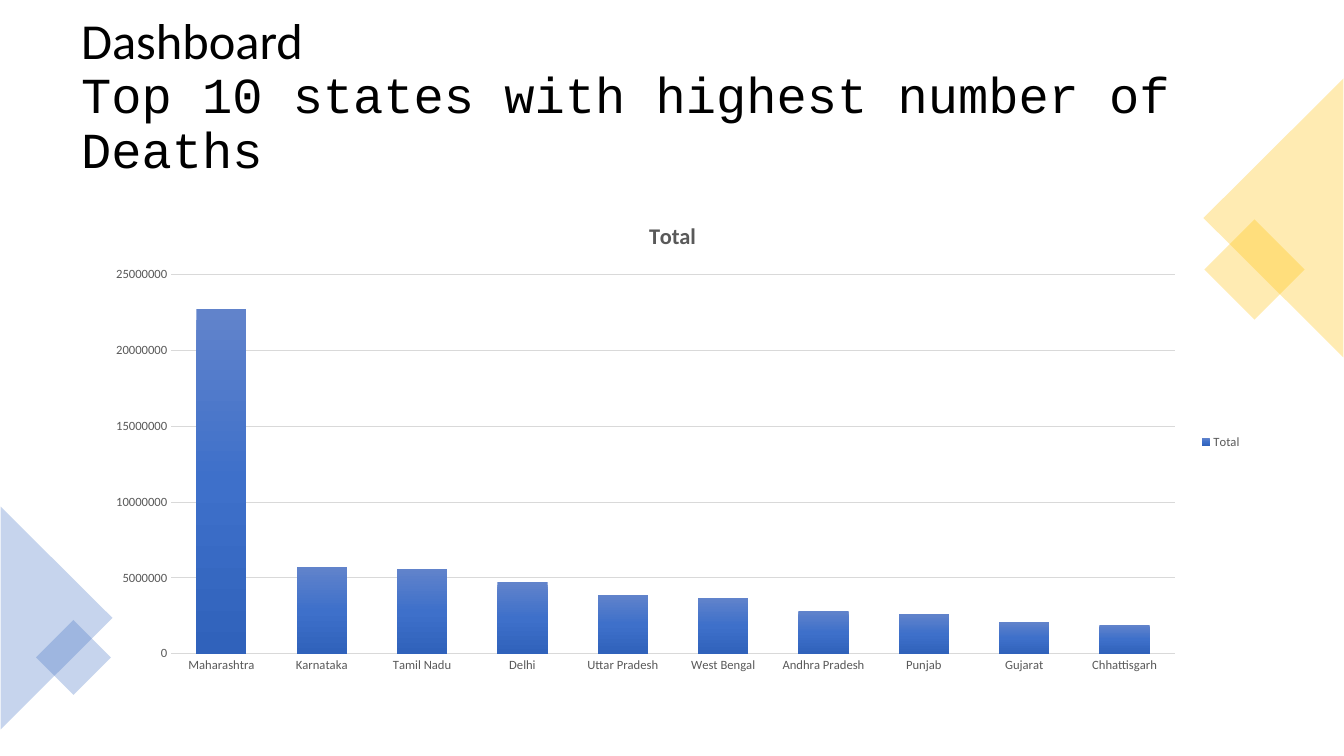
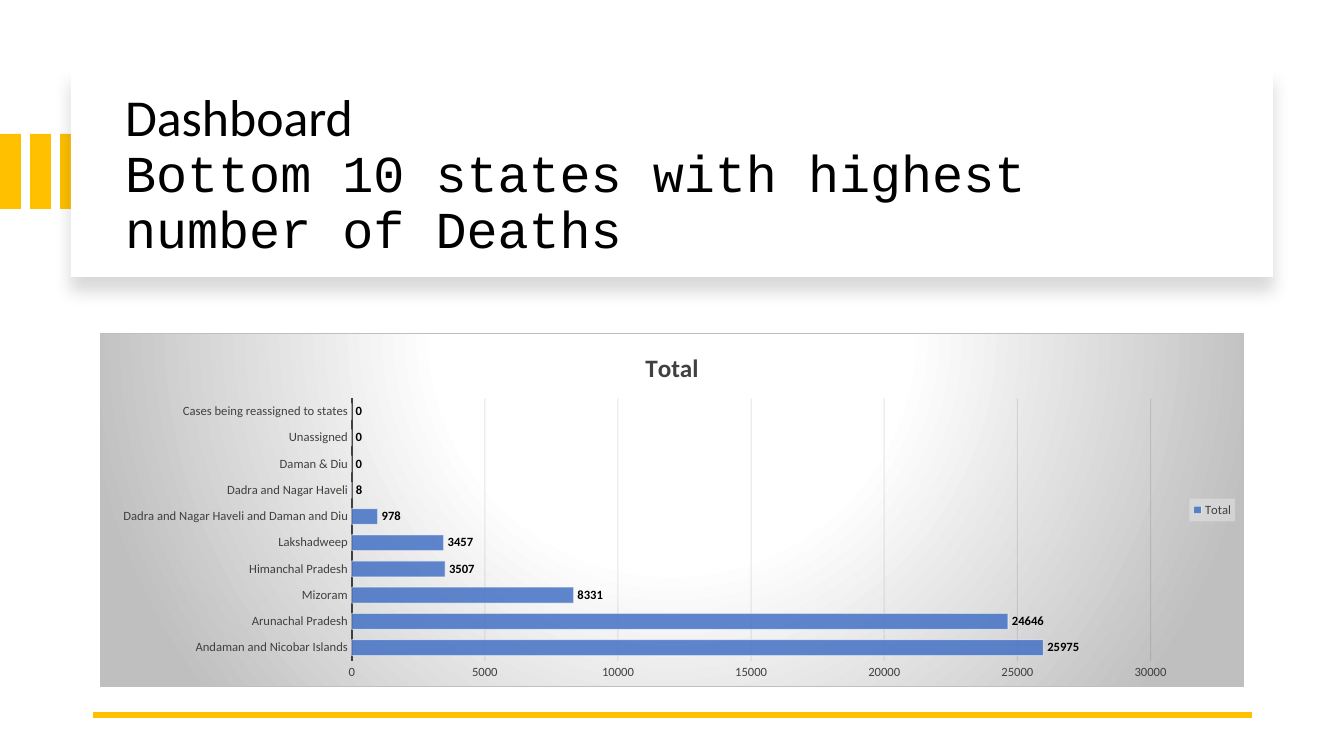
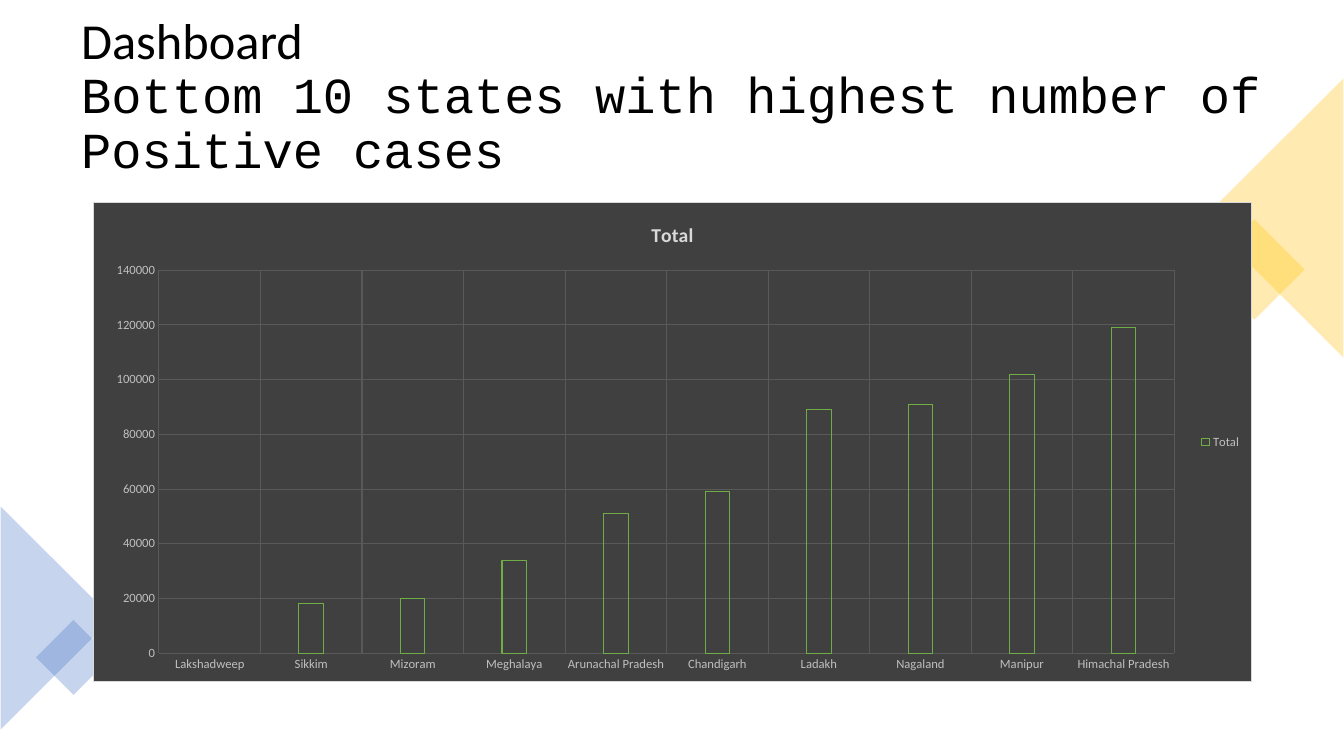
from lxml import etree
from pptx import Presentation
from pptx.chart.data import CategoryChartData
from pptx.dml.color import RGBColor
from pptx.dml.fill import FillFormat
from pptx.dml.line import LineFormat
from pptx.enum.chart import XL_CHART_TYPE, XL_LABEL_POSITION, XL_LEGEND_POSITION, XL_TICK_MARK
from pptx.enum.shapes import MSO_CONNECTOR, MSO_SHAPE
from pptx.enum.text import MSO_ANCHOR, MSO_AUTO_SIZE, PP_ALIGN
from pptx.oxml import parse_xml
from pptx.oxml.ns import nsdecls, qn
from pptx.util import Emu, Pt

COLUMN, BAR = XL_CHART_TYPE.COLUMN_CLUSTERED, XL_CHART_TYPE.BAR_CLUSTERED
RIGHT, OUTSIDE, NO_TICK = XL_LEGEND_POSITION.RIGHT, XL_LABEL_POSITION.OUTSIDE_END, XL_TICK_MARK.NONE
RECT, TRIANGLE, STRAIGHT = MSO_SHAPE.RECTANGLE, MSO_SHAPE.ISOSCELES_TRIANGLE, MSO_CONNECTOR.STRAIGHT
MIDDLE, LEFT, NO_FIT = MSO_ANCHOR.MIDDLE, PP_ALIGN.LEFT, MSO_AUTO_SIZE.NONE

# Theme
PX = 12192000 / 1344
FONT, MONO = "Calibri", "Courier New"
GOLD, BLUE, WHITE, BLACK = "FFC000", "4472C4", "FFFFFF", "000000"
TITLE_BOX, CARD_TITLE_BOX = (71, 35, 1202, 125), (115, 90, 1122, 171)
CARD_BOX = (71, 68, 1202, 209)
DIAMONDS = [  # preset, box, rotation, colour
    (RECT, (1219, 234, 71, 71), 45, GOLD),
    (TRIANGLE, (1134, 148, 279, 140), 270, GOLD),
    (TRIANGLE, (-55, 562, 223, 112), 90, BLUE),
    (RECT, (47, 631, 53, 53), 45, BLUE),
]

# Content: colours are (hex, alpha %), lines are (hex, points, alpha %)
DEATHS_TOP = dict(
    type=COLUMN, box=(93, 202, 1159, 480), gap=100, overlap=-24,
    data=[("Maharashtra", 22700000), ("Karnataka", 5700000), ("Tamil Nadu", 5600000),
          ("Delhi", 4700000), ("Uttar Pradesh", 3900000), ("West Bengal", 3700000),
          ("Andhra Pradesh", 2800000), ("Punjab", 2600000), ("Gujarat", 2100000),
          ("Chhattisgarh", 1900000)],
    scale=(25000000, 5000000), title=(16, "595959"), text="595959",
    axis_line=("D9D9D9", 1, 100), grid=("D9D9D9", 0.75, 100),
    bar_fill=[(0, "6183CB"), (50, "3E70CA"), (100, "3062BB")],
)
DEATHS_BOTTOM = dict(
    type=BAR, box=(100, 333, 1144, 354), gap=65, overlap=0,
    data=[("Andaman and Nicobar Islands", 25975), ("Arunachal Pradesh", 24646),
          ("Mizoram", 8331), ("Himanchal Pradesh", 3507), ("Lakshadweep", 3457),
          ("Dadra and Nagar Haveli and Daman and Diu", 978), ("Dadra and Nagar Haveli", 8),
          ("Daman & Diu", 0), ("Unassigned", 0), ("Cases being reassigned to states", 0)],
    scale=(30000, 5000), title=(18, "404040"), text="404040",
    axis_line=("404040", 1.5, 100), grid=("0D0D0D", 0.75, 10),
    bar_fill=(BLUE, 85), bar_line=(WHITE, 0.75, 50), labels=True,
    fill=[(0, WHITE), (39, WHITE), (100, "BFBFBF")], focus=(50, -80, 50, 180),
    border=("BFBFBF", 0.75, 100), legend_fill=("F2F2F2", 39),
)
POSITIVE_BOTTOM = dict(
    type=COLUMN, box=(93, 202, 1159, 480), gap=315, overlap=-40,
    data=[("Lakshadweep", None), ("Sikkim", 18000), ("Mizoram", 20000),
          ("Meghalaya", 34000), ("Arunachal Pradesh", 51000), ("Chandigarh", 59000),
          ("Ladakh", 89000), ("Nagaland", 91000), ("Manipur", 102000),
          ("Himachal Pradesh", 119000)],
    scale=(140000, 20000), title=(14, "D9D9D9"), text="BFBFBF",
    grid=("595959", 0.75, 100), category_grid=True, bar_line=("70AD47", 0.75, 100),
    fill=("404040", 100), border=("D9D9D9", 0.75, 100),
)
SLIDES = [  # heading, has card, chart
    ("Top 10 states with highest number of Deaths", False, DEATHS_TOP),
    ("Bottom 10 states with highest number of Deaths", True, DEATHS_BOTTOM),
    ("Bottom 10 states with highest number of Positive cases", False, POSITIVE_BOTTOM),
]


# Helpers
def emu(box):
    return [Emu(round(v * PX)) for v in box]


def rgb(color):
    return RGBColor.from_string(color)


def paint(fill, color, focus=None):
    """Fill with nothing, one (hex, alpha) colour or a list of gradient stops."""
    if color is None:
        fill.background()
    elif isinstance(color, list):
        fill.gradient()
        grad = fill._xPr.find(qn("a:gradFill"))
        for child in list(grad):
            grad.remove(child)
        stops = etree.SubElement(grad, qn("a:gsLst"))
        for pos, value in color:
            stop = etree.SubElement(stops, qn("a:gs"), pos=str(pos * 1000))
            etree.SubElement(stop, qn("a:srgbClr"), val=value)
        if focus:
            circle = etree.SubElement(grad, qn("a:path"), {"path": "circle"})
            sides = {k: str(v * 1000) for k, v in zip("ltrb", focus)}
            etree.SubElement(circle, qn("a:fillToRect"), sides)
        else:
            etree.SubElement(grad, qn("a:lin"), ang="5400000", scaled="0")
    else:
        value, alpha = color
        fill.solid()
        fill.fore_color.rgb = rgb(value)
        if alpha < 100:
            clr = fill._xPr.find(".//" + qn("a:srgbClr"))
            etree.SubElement(clr, qn("a:alpha"), val=str(alpha * 1000))


def stroke(line, style):
    if style is None:
        line.fill.background()
        return
    color, width, alpha = style
    line.width = Pt(width)
    paint(line.fill, (color, alpha))


def set_font(font, size, color, name=FONT, bold=None):
    font.size, font.name, font.bold = Pt(size), name, bold
    font.color.rgb = rgb(color)


def area_props(parent):
    """Give a chart part that already has text settings its own fill and line."""
    props = parse_xml("<c:spPr %s/>" % nsdecls("c", "a"))
    parent.find(qn("c:txPr")).addprevious(props)
    return props


def add_block(s, preset, box, color, alpha=100, rotation=0):
    sp = s.shapes.add_shape(preset, *emu(box))
    sp.rotation = rotation
    sp.shadow.inherit = False
    paint(sp.fill, (color, alpha))
    sp.line.fill.background()
    return sp


def add_title(s, heading, box, size):
    title = s.shapes.title
    s.shapes._spTree.append(title.element)
    title.left, title.top, title.width, title.height = emu(box)
    tf = title.text_frame
    tf.word_wrap, tf.auto_size, tf.vertical_anchor = True, NO_FIT, MIDDLE
    p = tf.paragraphs[0]
    p.alignment, p.line_spacing = LEFT, 0.9
    for i, (text, name) in enumerate([("Dashboard", FONT), (heading, MONO)]):
        if i:
            p.add_line_break()
        r = p.add_run()
        r.text = text
        set_font(r.font, size, BLACK, name)


def add_card(s):
    for i in range(3):
        add_block(s, RECT, (30 * i, 134, 21, 75), GOLD)
    card = add_block(s, RECT, CARD_BOX, WHITE)
    effects = card.element.spPr.find(qn("a:effectLst"))
    shadow = etree.SubElement(effects, qn("a:outerShdw"), blurRad=str(Pt(11)),
                              dist=str(Pt(10)), dir="5400000", algn="t", rotWithShape="0")
    clr = etree.SubElement(shadow, qn("a:srgbClr"), val=BLACK)
    etree.SubElement(clr, qn("a:alpha"), val="15000")


def add_rule(s):
    rule = s.shapes.add_connector(STRAIGHT, *emu((1252, 715, 93, 715)))
    stroke(rule.line, (GOLD, 4.5, 100))
    etree.SubElement(rule.element.spPr, qn("a:effectLst"))


def add_bars(s, c):
    data = CategoryChartData()
    data.categories = [name for name, _ in c["data"]]
    data.add_series("Total", [value for _, value in c["data"]])
    chart = s.shapes.add_chart(c["type"], *emu(c["box"]), data).chart
    set_font(chart.font, 10, BLACK)
    area = area_props(chart.element)
    paint(FillFormat.from_fill_parent(area), c.get("fill"), c.get("focus"))
    stroke(LineFormat(area), c.get("border"))

    # Title and legend
    chart.has_title = True
    r = chart.chart_title.text_frame.paragraphs[0].add_run()
    r.text = "Total"
    set_font(r.font, *c["title"], bold=True)
    chart.has_legend = True
    legend = chart.legend
    legend.position, legend.include_in_layout = RIGHT, False
    set_font(legend.font, 9, c["text"])
    if "legend_fill" in c:
        props = area_props(chart.element.find(".//" + qn("c:legend")))
        paint(FillFormat.from_fill_parent(props), c["legend_fill"])

    # Axes
    cat, val = chart.category_axis, chart.value_axis
    val.minimum_scale = 0
    val.maximum_scale, val.major_unit = c["scale"]
    cat.has_major_gridlines = c.get("category_grid", False)
    val.has_major_gridlines = True
    for axis, line in ((cat, c.get("axis_line")), (val, None)):
        axis.major_tick_mark = axis.minor_tick_mark = NO_TICK
        set_font(axis.tick_labels.font, 9, c["text"])
        stroke(axis.format.line, line)
        if axis.has_major_gridlines:
            stroke(axis.major_gridlines.format.line, c["grid"])

    # Bars
    plot = chart.plots[0]
    plot.gap_width, plot.overlap, plot.vary_by_categories = c["gap"], c["overlap"], False
    series = plot.series[0]
    series.invert_if_negative = False
    paint(series.format.fill, c.get("bar_fill"))
    stroke(series.format.line, c.get("bar_line"))
    if c.get("labels"):
        labels = series.data_labels
        labels.show_value, labels.position = True, OUTSIDE
        set_font(labels.font, 9, BLACK, bold=True)


# Build
prs = Presentation()
prs.slide_width, prs.slide_height = emu((1344, 756))
for heading, has_card, chart_spec in SLIDES:
    s = prs.slides.add_slide(prs.slide_layouts[5])
    if has_card:
        add_card(s)
        add_title(s, heading, CARD_TITLE_BOX, 37)
        add_rule(s)
    else:
        add_title(s, heading, TITLE_BOX, 36)
        for preset, box, rotation, color in DIAMONDS:
            add_block(s, preset, box, color, 30, rotation)
    add_bars(s, chart_spec)
prs.save("out.pptx")
